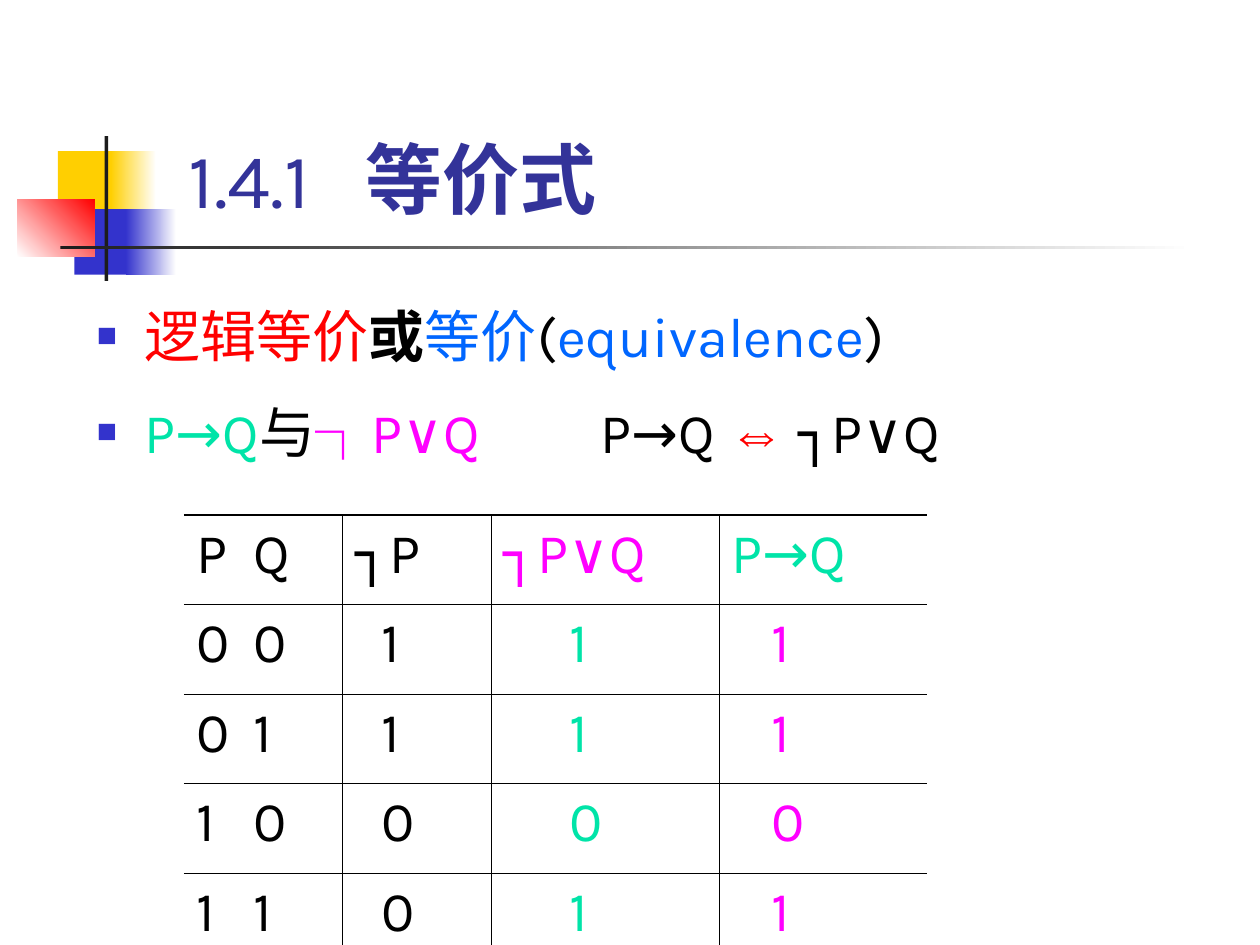
"""Build the slide on logical equivalence with its truth table."""
from lxml.etree import SubElement
from pptx import Presentation
from pptx.dml.color import RGBColor
from pptx.enum.shapes import MSO_SHAPE
from pptx.enum.text import MSO_ANCHOR
from pptx.oxml import parse_xml
from pptx.oxml.ns import nsdecls, qn
from pptx.util import Inches, Pt

WIDTH, HEIGHT = Inches(10), Inches(7.5)
COLORS = {
    "black": "000000", "white": "FFFFFF", "ink": "1C1C1C", "yellow": "FFCF01",
    "indigo": "3333CC", "navy": "333399", "red": "FF0000", "blue": "0066FF",
    "green": "00E4A8", "magenta": "FF00FF",
}
# Shares of the slide in percent: left, top, width, height
ORNAMENT = [
    ((4.6, 16, 4.8, 6.93), ["yellow"], 0),
    ((8.8, 16, 3.6, 6.93), ["yellow", "white"], 0),
    ((5.9, 22.13, 4.6, 6.93), ["indigo"], 0),
    ((10, 22.13, 4, 6.93), ["indigo", "white"], 0),
    ((1.4, 21.07, 6.1, 6.13), ["white", "red"], 45),
    ((8.3, 14.4, 0.3, 15.33), ["ink"], 0),
    ((4.8, 26, 90, 0.4), ["ink", "white"], 0),
]
TITLE_AREA = (14, 3.07, 83.8, 21.33)
TITLE = [("1.4.1\t", "navy"), ("等价式", "navy", True)]
TITLE_TAB = 1.4
BODY_AREA = (6.7, 29.47, 90.6, 70.53)
BODY = [
    [("逻辑等价", "red"), ("或", "black", True), ("等价", "blue"),
     ("(", "black"), ("equivalence", "blue"), (")", "black")],
    [("P→Q", "green"), ("与", "black"), ("┐P∨Q", "magenta"), ("\tP→Q ", "black"),
     ("⇔", "red", False, "Arial"), (" ┐P∨Q", "black")],
]
BODY_TAB = 4
TABLE_CORNER = (14.6, 54.53)
ROW_SHARE = 9.47
COLUMNS = [
    {"share": 12.6, "indent": 0, "head": "black", "value": "black"},
    {"share": 11.8, "indent": 0.21, "head": "black", "value": "black"},
    {"share": 18.1, "indent": 0.52, "head": "magenta", "value": "green"},
    {"share": 16.5, "indent": 0.31, "head": "green", "value": "magenta"},
]
VARIABLE_TAB = 0.45
TRUTH_TABLE = [
    ["P\tQ", "┐P", "┐P∨Q", "P→Q"],
    ["0\t0", "1", "1", "1"],
    ["0\t1", "1", "1", "1"],
    ["1\t0", "0", "0", "0"],
    ["1\t1", "0", "1", "1"],
]


def across(share):
    return round(WIDTH * share / 100)


def down(share):
    return round(HEIGHT * share / 100)


def place(area):
    left, top, width, height = area
    return across(left), down(top), across(width), down(height)


def rgb(name):
    return RGBColor.from_string(COLORS[name])


def add_span(para, text, color, bold=False, font="Karla", size=32):
    span = para.add_run()
    span.text = text
    span.font.name, span.font.size, span.font.bold = font, Pt(size), bold
    span.font.color.rgb = rgb(color)


def add_tab(para, position):
    tabs = SubElement(para._p.get_or_add_pPr(), qn("a:tabLst"))
    SubElement(tabs, qn("a:tab"), pos=str(Inches(position)), algn="l")


def add_bullet(para):
    props = para._p.get_or_add_pPr()
    props.set("marL", str(Inches(0.38)))
    props.set("indent", str(-Inches(0.38)))
    tint = SubElement(props, qn("a:buClr"))
    SubElement(tint, qn("a:srgbClr"), val=COLORS["indigo"])
    SubElement(props, qn("a:buSzPct"), val="60000")
    SubElement(props, qn("a:buFont"), typeface="Arial")
    SubElement(props, qn("a:buChar"), char="■")


def add_block(page, area, colors, angle):
    block = page.shapes.add_shape(MSO_SHAPE.RECTANGLE, *place(area))
    block.shadow.inherit = False
    block.line.fill.background()
    if len(colors) == 1:
        block.fill.solid()
        block.fill.fore_color.rgb = rgb(colors[0])
        return
    block.fill.gradient()
    block.fill.gradient_angle = angle
    for stop, color in zip(block.fill.gradient_stops, colors):
        stop.color.rgb = rgb(color)


def add_text_frame(page, area):
    frame = page.shapes.add_textbox(*place(area)).text_frame
    frame.word_wrap = True
    return frame


def add_title(page):
    frame = add_text_frame(page, TITLE_AREA)
    frame.vertical_anchor = MSO_ANCHOR.BOTTOM
    para = frame.paragraphs[0]
    add_tab(para, TITLE_TAB)
    for span in TITLE:
        add_span(para, *span, size=44)


def add_body(page):
    frame = add_text_frame(page, BODY_AREA)
    for index, spans in enumerate(BODY):
        para = frame.add_paragraph() if index else frame.paragraphs[0]
        add_bullet(para)
        add_tab(para, BODY_TAB)
        para.line_spacing = 1.25
        para.space_before = Pt(7 if index else 0)
        for span in spans:
            add_span(para, *span)


def set_borders(cell, widths):
    props = cell._tc.get_or_add_tcPr()
    for index, (side, width) in enumerate(zip("LRTB", widths)):
        fill = (f'<a:solidFill><a:srgbClr val="{COLORS["black"]}"/></a:solidFill>'
                if width else "<a:noFill/>")
        props.insert(index, parse_xml(
            f'<a:ln{side} {nsdecls("a")} w="{Pt(width)}">{fill}</a:ln{side}>'))


def add_truth_table(page):
    rows, columns = len(TRUTH_TABLE), len(COLUMNS)
    width = sum(column["share"] for column in COLUMNS)
    area = (*TABLE_CORNER, width, ROW_SHARE * rows)
    table = page.shapes.add_table(rows, columns, *place(area)).table
    table.first_row = table.horz_banding = False
    for index, column in enumerate(COLUMNS):
        table.columns[index].width = across(column["share"])
    for row, texts in enumerate(TRUTH_TABLE):
        table.rows[row].height = down(ROW_SHARE)
        for index, (text, column) in enumerate(zip(texts, COLUMNS)):
            cell = table.cell(row, index)
            cell.fill.background()
            set_borders(cell, (
                0.45 if index else 0,
                0.45 if index < columns - 1 else 0,
                0.45 if row else 1.08,
                0.45 if row < rows - 1 else 1.08,
            ))
            para = cell.text_frame.paragraphs[0]
            if index == 0:
                add_tab(para, VARIABLE_TAB)
            if row:
                cell.margin_left = Inches(0.1 + column["indent"])
            add_span(para, text, column["value" if row else "head"])


def main():
    deck = Presentation()
    deck.slide_width, deck.slide_height = WIDTH, HEIGHT
    page = deck.slides.add_slide(deck.slide_layouts[6])
    for block in ORNAMENT:
        add_block(page, *block)
    add_title(page)
    add_body(page)
    add_truth_table(page)
    deck.save("out.pptx")


if __name__ == "__main__":
    main()
